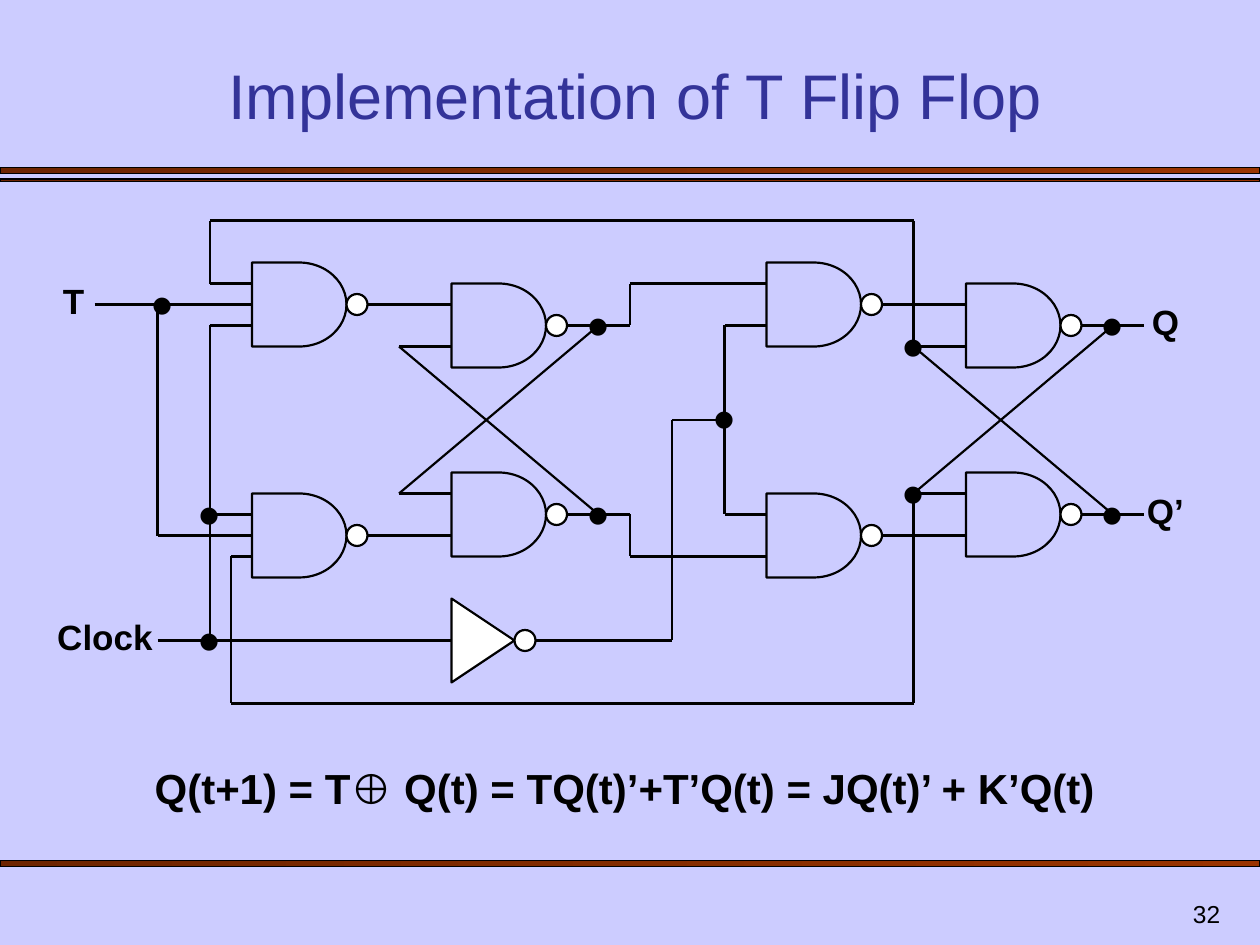
import pptx
import pptx.util
import pptx.dml.color
import pptx.enum.shapes
import pptx.enum.text
import pptx.oxml.ns
from lxml import etree

COLORS = {"background": "CCCCFF", "title": "333399", "ink": "000000",
          "bubble": "FFFFFF", "bar_start": "6D2400", "bar_end": "993300"}
FONT = "Arial"
COLUMNS, ROWS = 120, 90
WIDTH, HEIGHT = pptx.util.Inches(10), pptx.util.Inches(7.5)
GATE_WIDTH, GATE_HEIGHT, BUBBLE = 9, 8, 2
LATCHES = (43, 92)
INPUT_GATES = (24, 73)
SHAPES = pptx.enum.shapes.MSO_SHAPE
ALIGN = pptx.enum.text.PP_ALIGN
ANCHOR = pptx.enum.text.MSO_ANCHOR


def across(column):
    return round(WIDTH * column / COLUMNS)


def down(row):
    return round(HEIGHT * row / ROWS)


def area(column, row, width, height):
    return across(column), down(row), across(width), down(height)


def rgb(name):
    return pptx.dml.color.RGBColor.from_string(COLORS[name])


def outline(shape, width=1.25):
    shape.line.color.rgb = rgb("ink")
    shape.line.width = pptx.util.Pt(width)


def style_shape(shape, fill=None):
    shape.shadow.inherit = False
    if fill:
        shape.fill.solid()
        shape.fill.fore_color.rgb = rgb(fill)
    else:
        shape.fill.background()
    outline(shape)


def write(shape, text, size, bold=False, color="ink",
          align=ALIGN.CENTER, anchor=ANCHOR.TOP):
    frame = shape.text_frame
    frame.word_wrap = True
    frame.vertical_anchor = anchor
    paragraph = frame.paragraphs[0]
    paragraph.alignment = align
    run = paragraph.add_run()
    run.text = text
    run.font.name = FONT
    run.font.size = pptx.util.Pt(size)
    run.font.bold = bold
    run.font.color.rgb = rgb(color)


def add_text(slide, box, text, size, **options):
    write(slide.shapes.add_textbox(*area(*box)), text, size, **options)


def add_title(slide, text):
    title = slide.shapes.title
    title.left, title.top, title.width, title.height = area(7, 5, 107, 8.2)
    write(title, text, 36, color="title", anchor=ANCHOR.BOTTOM)


def add_bar(slide, row, height):
    bar = slide.shapes.add_shape(SHAPES.RECTANGLE, *area(0, row, COLUMNS, height))
    bar.shadow.inherit = False
    bar.fill.gradient()
    bar.fill.gradient_angle = 0
    for stop, name in zip(bar.fill.gradient_stops, ("bar_start", "bar_end")):
        stop.color.rgb = rgb(name)
    outline(bar, 0.75)


def add_wire(slide, *points):
    for start, end in zip(points, points[1:]):
        wire = slide.shapes.add_connector(
            pptx.enum.shapes.MSO_CONNECTOR.STRAIGHT,
            across(start[0]), down(start[1]), across(end[0]), down(end[1]))
        outline(wire)
        etree.SubElement(wire._element.spPr, pptx.oxml.ns.qn("a:effectLst"))


def add_bubble(group, column, middle):
    bubble = group.shapes.add_shape(
        SHAPES.OVAL, *area(column, middle - BUBBLE / 2, BUBBLE, BUBBLE))
    style_shape(bubble, "bubble")


def add_nand(slide, column, row):
    group = slide.shapes.add_group_shape()
    gate = group.shapes.add_shape(
        SHAPES.FLOWCHART_DELAY, *area(column, row, GATE_WIDTH, GATE_HEIGHT))
    style_shape(gate)
    add_bubble(group, column + GATE_WIDTH, row + GATE_HEIGHT / 2)


def add_inverter(slide, column, middle):
    group = slide.shapes.add_group_shape()
    half = GATE_HEIGHT / 2
    builder = group.shapes.build_freeform(across(column), down(middle - half))
    builder.add_line_segments([(across(column), down(middle + half)),
                               (across(column + 6), down(middle))], close=True)
    style_shape(builder.convert_to_shape(), "bubble")
    add_bubble(group, column + 6, middle)


def add_dot(slide, column, row):
    add_text(slide, (column - 3, row - 4.38, 6, 8.4), "•", 36)


def add_latch(slide, column):
    cross, output = column - 5, column + 14
    for inner, outer, far, gate in ((33, 29, 49, 27), (47, 51, 31, 45)):
        middle = gate + GATE_HEIGHT / 2
        add_wire(slide, (column, inner), (cross, inner), (output, far))
        add_wire(slide, (column - 8, outer), (column, outer))
        add_wire(slide, (column + 11, middle), (column + 17, middle))
        add_nand(slide, column, gate)
        add_dot(slide, output, middle)


def add_wiring(slide):
    add_wire(slide, (9, 29), (24, 29))
    add_wire(slide, (15, 29), (15, 51), (24, 51))
    add_wire(slide, (24, 31), (20, 31), (20, 61))
    add_wire(slide, (20, 49), (24, 49))
    add_wire(slide, (15, 61), (43, 61))
    add_wire(slide, (24, 27), (20, 27), (20, 21), (87, 21), (87, 33))
    add_wire(slide, (24, 53), (22, 53), (22, 67), (87, 67), (87, 47))
    add_wire(slide, (60, 31), (60, 27), (73, 27))
    add_wire(slide, (60, 49), (60, 53), (73, 53))
    add_wire(slide, (51, 61), (64, 61), (64, 40), (69, 40))
    add_wire(slide, (73, 31), (69, 31), (69, 49), (73, 49))


def main():
    presentation = pptx.Presentation()
    presentation.slide_width, presentation.slide_height = WIDTH, HEIGHT
    slide = presentation.slides.add_slide(presentation.slide_layouts[5])
    slide.background.fill.solid()
    slide.background.fill.fore_color.rgb = rgb("background")

    for row, height in ((15.96, 0.6), (17.04, 0.24), (81.96, 0.6)):
        add_bar(slide, row, height)
    add_title(slide, "Implementation of T Flip Flop")

    add_wiring(slide)
    for column in LATCHES:
        add_latch(slide, column)
    for column in INPUT_GATES:
        for row in (25, 47):
            add_nand(slide, column, row)
    add_inverter(slide, 43, 61)
    for column, row in ((15.5, 29), (20, 49), (20, 61), (69, 39.8), (87, 33), (87, 47)):
        add_dot(slide, column, row)

    for text, column, row, width in (("T", 4, 26, 6), ("Clock", 4, 58, 12),
                                     ("Q", 108, 28, 6), ("Q’", 108, 46, 6)):
        add_text(slide, (column, row, width, 5.2), text, 20, bold=True)
    add_text(slide, (10, 72, 99, 6),
             "Q(t+1) = T⊕ Q(t) = TQ(t)’+T’Q(t) = JQ(t)’ + K’Q(t)", 24, bold=True)
    add_text(slide, (92.4, 84, 25, 5), "32", 14, align=ALIGN.RIGHT, anchor=ANCHOR.BOTTOM)

    presentation.save("out.pptx")


if __name__ == "__main__":
    main()
